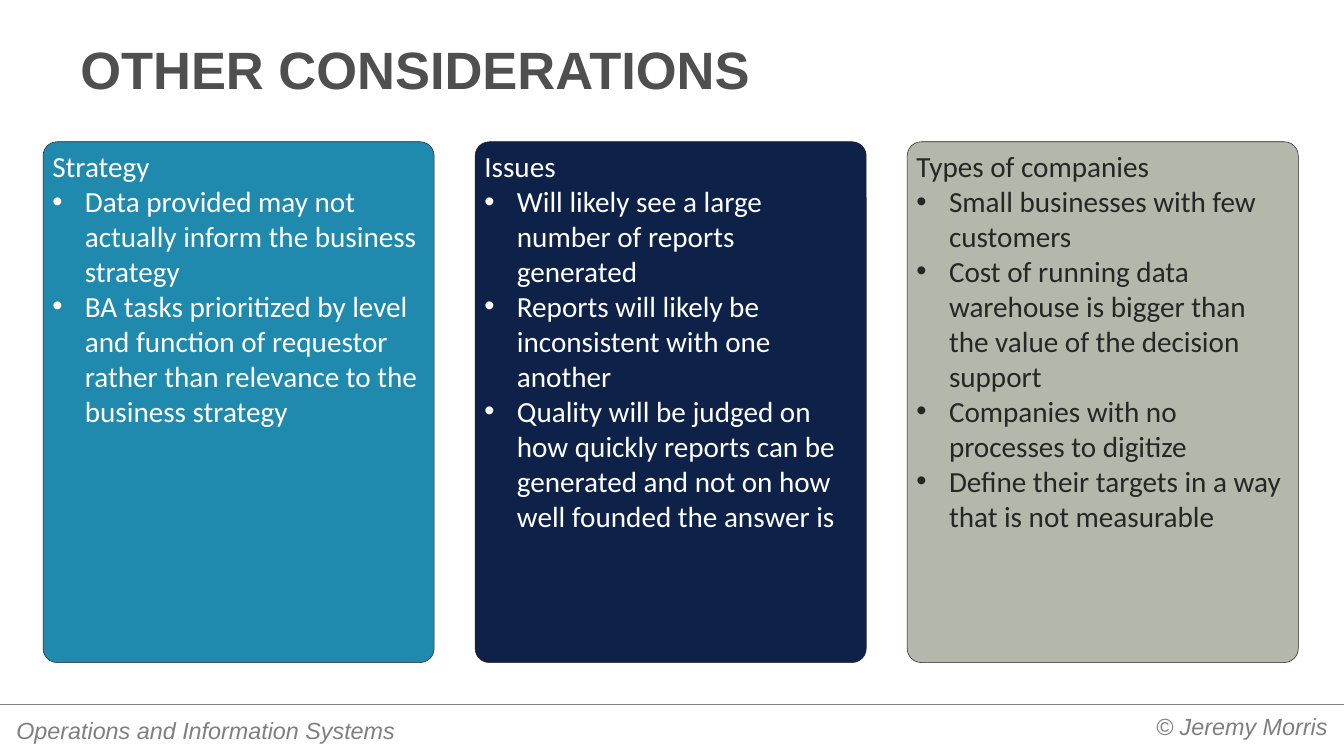
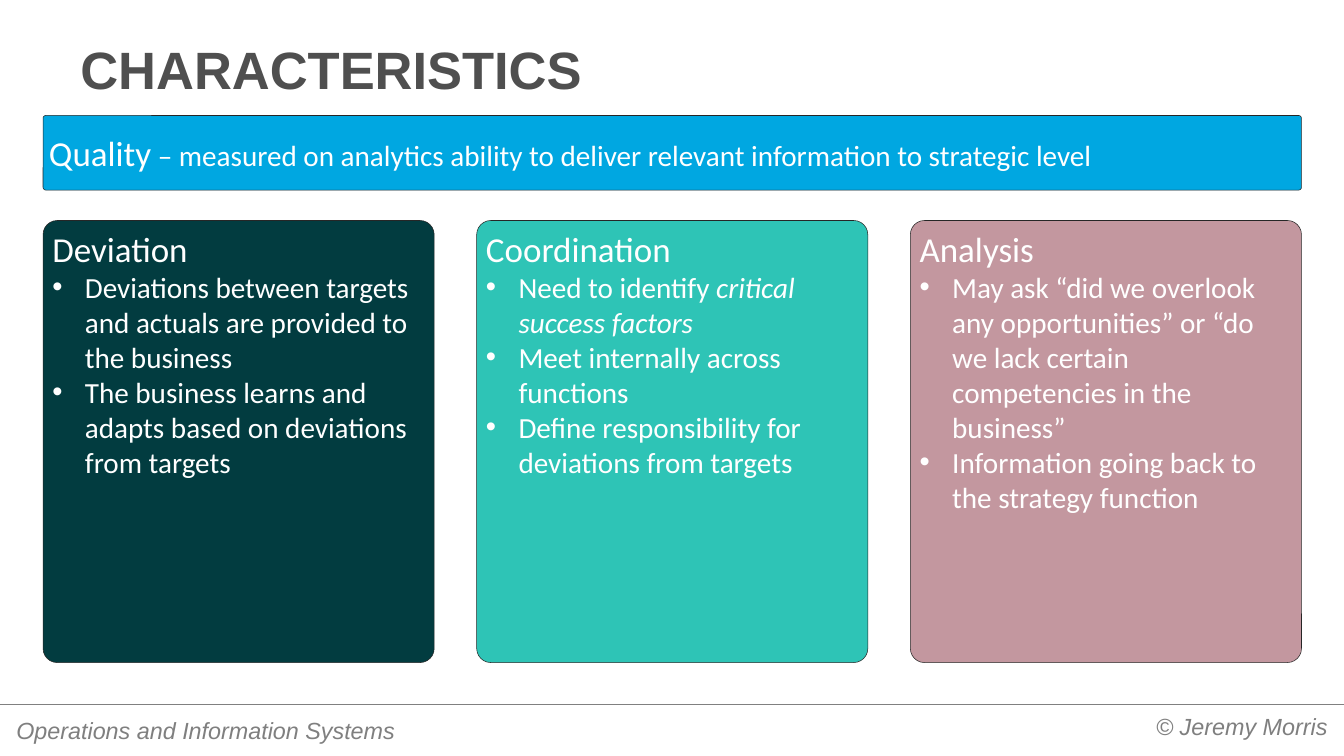
from dataclasses import dataclass

import lxml.etree
import pptx
import pptx.dml.color
import pptx.enum.shapes
import pptx.enum.text
import pptx.oxml.ns
import pptx.util

ALIGN = pptx.enum.text.PP_ALIGN
ANCHOR = pptx.enum.text.MSO_ANCHOR
PX = 9144
SLIDE_W, SLIDE_H = 2560, 1440
FOOTER_Y = 1341
LEFT = 82
CARD_W = 745
CARD_BOTTOM = 1262
INDENT = 62
CORNER = 0.036

COLORS = {
    "title": "4F4F4F",
    "footer": "7F7F7F",
    "rule": "808080",
    "outline": "262626",
    "white": "FFFFFF",
    "blue": "208AAE",
    "navy": "0D2149",
    "sage": "B4B8AB",
    "pine": "023C40",
    "teal": "2EC4B6",
    "rose": "C3979F",
    "sky": "00A7E1",
}


@dataclass(frozen=True)
class Run:
    text: str
    size: int = 40
    italic: bool = False


@dataclass(frozen=True)
class Card:
    heading: str
    bullets: list[str | list[Run]]
    fill: str
    ink: str = "white"


@dataclass(frozen=True)
class CardRow:
    top: int
    gap: int
    heading_size: int
    cards: list[Card]


def px(n: int) -> pptx.util.Emu:
    return pptx.util.Emu(n * PX)


def rgb(name: str) -> pptx.dml.color.RGBColor:
    return pptx.dml.color.RGBColor.from_string(COLORS[name])


def style(font, name: str, size: int, color: str) -> None:
    font.name = name
    font.size = pptx.util.Pt(size)
    font.color.rgb = rgb(color)


def add_label(slide, text: str, box: tuple[int, int, int, int], size: int, color: str,
              insets: tuple[int, int], align=ALIGN.LEFT, anchor=ANCHOR.TOP,
              bold: bool = False, italic: bool = False) -> None:
    tf = slide.shapes.add_textbox(*map(px, box)).text_frame
    tf.word_wrap = True
    tf.vertical_anchor = anchor
    tf.margin_left = tf.margin_right = px(insets[0])
    tf.margin_top = tf.margin_bottom = px(insets[1])
    p = tf.paragraphs[0]
    p.text = text
    p.alignment = align
    style(p.font, "Arial", size, color)
    p.font.bold = bold
    p.font.italic = italic


def add_rule(slide) -> None:
    line = slide.shapes.add_connector(
        pptx.enum.shapes.MSO_CONNECTOR.STRAIGHT, 0, px(FOOTER_Y), px(SLIDE_W), px(FOOTER_Y))
    line.line.color.rgb = rgb("rule")
    line.line.width = pptx.util.Pt(0.75)
    sp_pr = line._element.spPr
    lxml.etree.SubElement(sp_pr, pptx.oxml.ns.qn("a:effectLst"))


def new_slide(prs, title: str):
    slide = prs.slides.add_slide(prs.slide_layouts[6])
    add_rule(slide)
    add_label(slide, "© Jeremy Morris", (1458, 1348, 1089, 126 - 34), 32, "footer",
              (18, 9), align=ALIGN.RIGHT, italic=True)
    add_label(slide, "Operations and Information Systems", (13, 1356, 875, 72), 32, "footer",
              (18, 9), italic=True)
    add_label(slide, title, (128, 53, 2304, 149), 72, "title", (25, 12),
              anchor=ANCHOR.BOTTOM, bold=True)
    return slide


def add_panel(slide, box: tuple[int, int, int, int], fill: str, anchor):
    sp = slide.shapes.add_shape(
        pptx.enum.shapes.MSO_SHAPE.ROUNDED_RECTANGLE, *map(px, box))
    sp.shadow.inherit = False
    sp.adjustments[0] = CORNER
    sp.fill.solid()
    sp.fill.fore_color.rgb = rgb(fill)
    sp.line.color.rgb = rgb("outline")
    sp.line.width = pptx.util.Pt(0.75)
    tf = sp.text_frame
    tf.word_wrap = True
    tf.vertical_anchor = anchor
    return tf


def fill_paragraph(p, runs: list[Run], ink: str, bullet: bool = False) -> None:
    p.alignment = ALIGN.LEFT
    if bullet:
        p_pr = p._p.get_or_add_pPr()
        p_pr.set("marL", str(px(INDENT)))
        p_pr.set("indent", str(-px(INDENT)))
        font = lxml.etree.SubElement(p_pr, pptx.oxml.ns.qn("a:buFont"))
        font.set("typeface", "Arial")
        char = lxml.etree.SubElement(p_pr, pptx.oxml.ns.qn("a:buChar"))
        char.set("char", "•")
    style(p.font, "Calibri", runs[0].size, ink)
    for run in runs:
        r = p.add_run()
        r.text = run.text
        if run.size != runs[0].size:
            r.font.size = pptx.util.Pt(run.size)
        if run.italic:
            r.font.italic = True


def add_cards(slide, row: CardRow) -> None:
    for i, card in enumerate(row.cards):
        left = LEFT + i * (CARD_W + row.gap)
        tf = add_panel(slide, (left, row.top, CARD_W, CARD_BOTTOM - row.top),
                       card.fill, ANCHOR.TOP)
        fill_paragraph(tf.paragraphs[0], [Run(card.heading, row.heading_size)], card.ink)
        for bullet in card.bullets:
            runs = [Run(bullet)] if isinstance(bullet, str) else bullet
            fill_paragraph(tf.add_paragraph(), runs, card.ink, bullet=True)


CONSIDERATIONS = CardRow(270, 78, 40, [
    Card("Strategy", [
        "Data provided may not actually inform the business strategy",
        "BA tasks prioritized by level and function of requestor rather than "
        "relevance to the business strategy",
    ], "blue"),
    Card("Issues", [
        "Will likely see a large number of reports generated",
        "Reports will likely be inconsistent with one another",
        "Quality will be judged on how quickly reports can be generated and not on "
        "how well founded the answer is",
    ], "navy"),
    Card("Types of companies", [
        "Small businesses with few customers",
        "Cost of running data warehouse is bigger than the value of the decision support",
        "Companies with no processes to digitize",
        "Define their targets in a way that is not measurable",
    ], "sage", "outline"),
])

CHARACTERISTICS = CardRow(420, 81, 48, [
    Card("Deviation", [
        "Deviations between targets and actuals are provided to the business",
        "The business learns and adapts based on deviations from targets",
    ], "pine"),
    Card("Coordination", [
        [Run("Need to identify "), Run("critical success factors", italic=True)],
        "Meet internally across functions",
        "Define responsibility for deviations from targets",
    ], "teal"),
    Card("Analysis", [
        "May ask “did we overlook any opportunities” or “do we lack certain "
        "competencies in the business”",
        "Information going back to the strategy function",
    ], "rose"),
])

QUALITY = [
    Run("Quality", 48),
    Run(" – measured on analytics ability to deliver relevant information to strategic level"),
]


def main() -> None:
    prs = pptx.Presentation()
    prs.slide_width, prs.slide_height = px(SLIDE_W), px(SLIDE_H)

    add_cards(new_slide(prs, "OTHER CONSIDERATIONS"), CONSIDERATIONS)

    slide = new_slide(prs, "CHARACTERISTICS")
    add_cards(slide, CHARACTERISTICS)
    banner_w = 3 * CARD_W + 2 * CHARACTERISTICS.gap
    tf = add_panel(slide, (LEFT, 220, banner_w, 142), "sky", ANCHOR.MIDDLE)
    fill_paragraph(tf.paragraphs[0], QUALITY, "white")

    prs.save("out.pptx")


if __name__ == "__main__":
    main()
